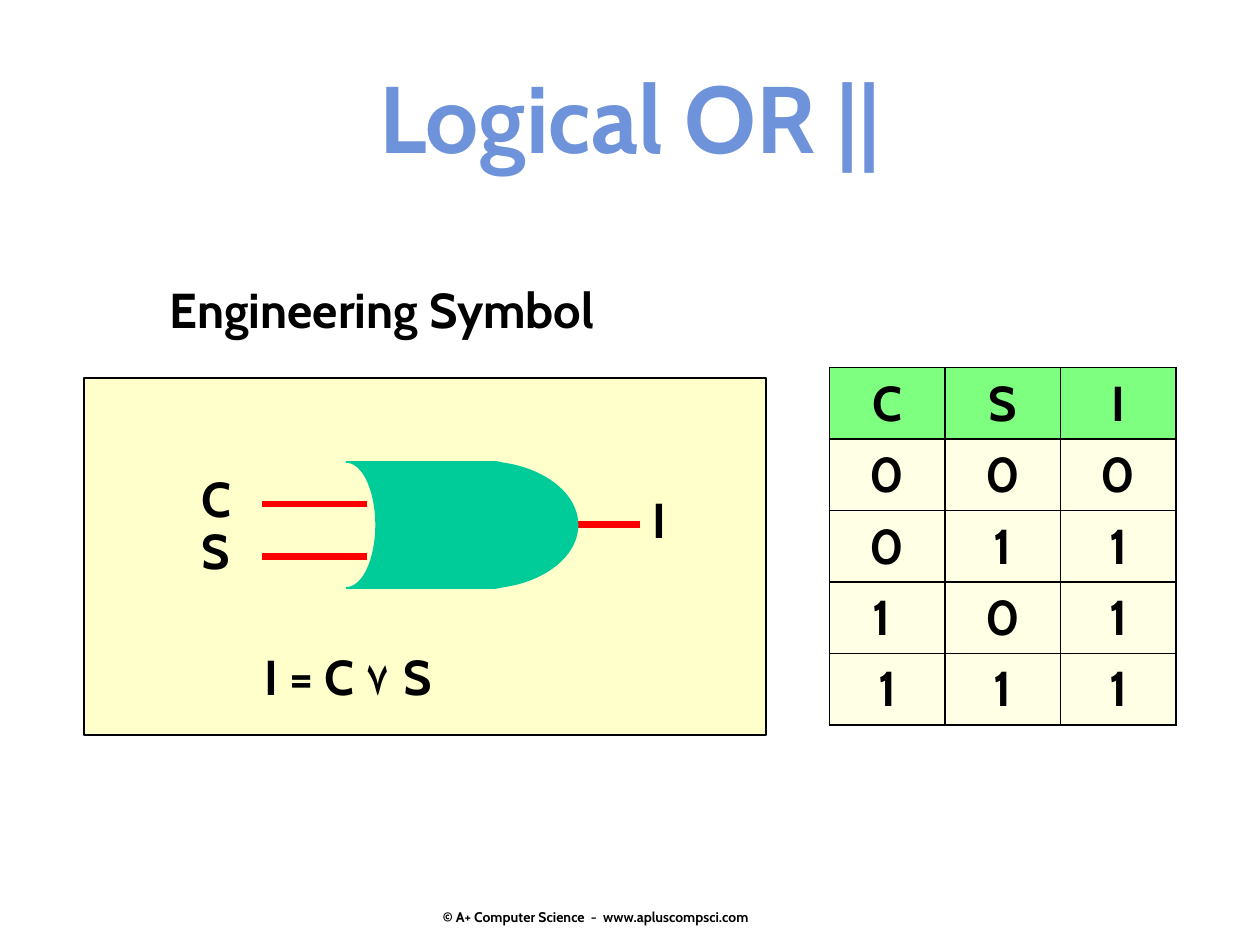
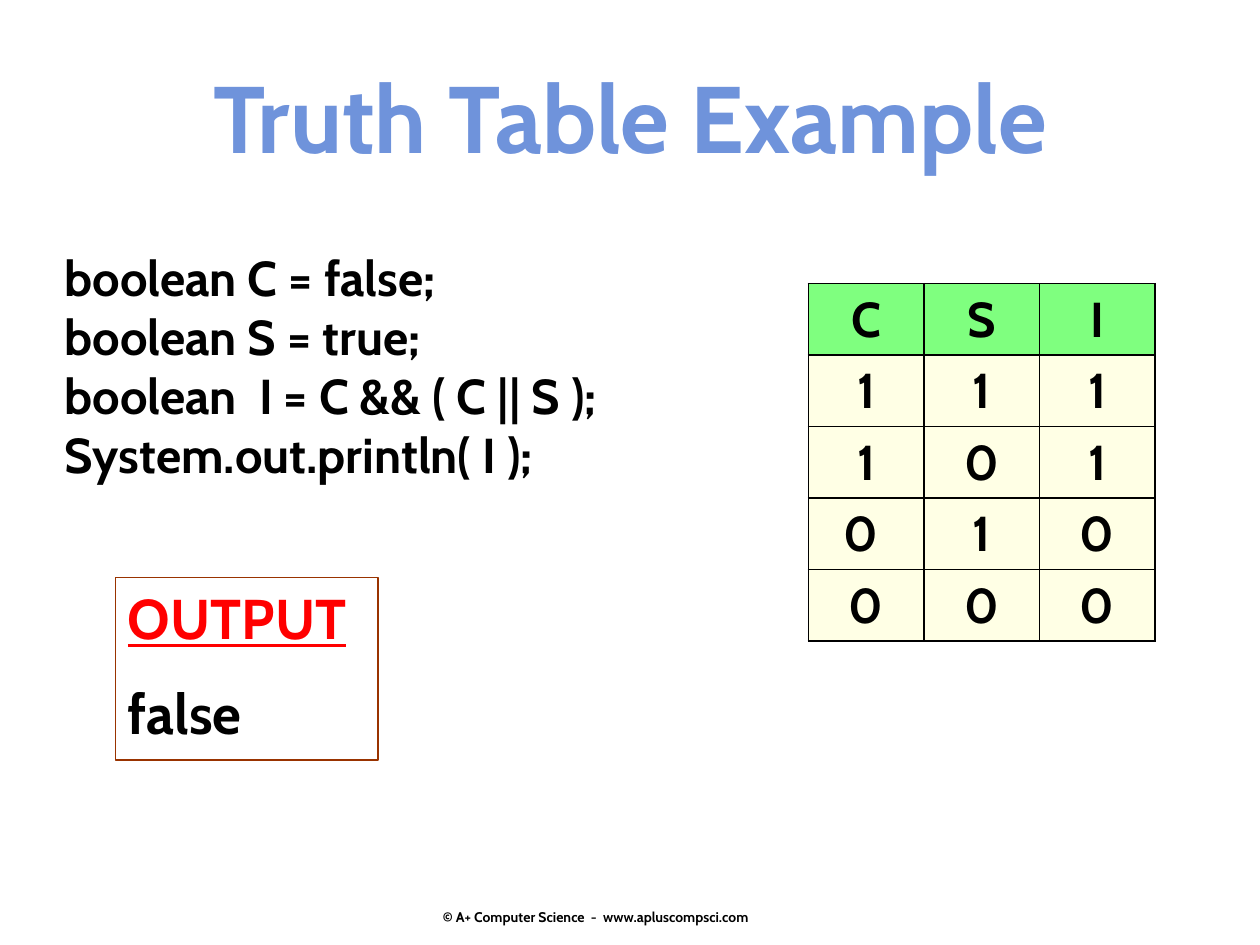
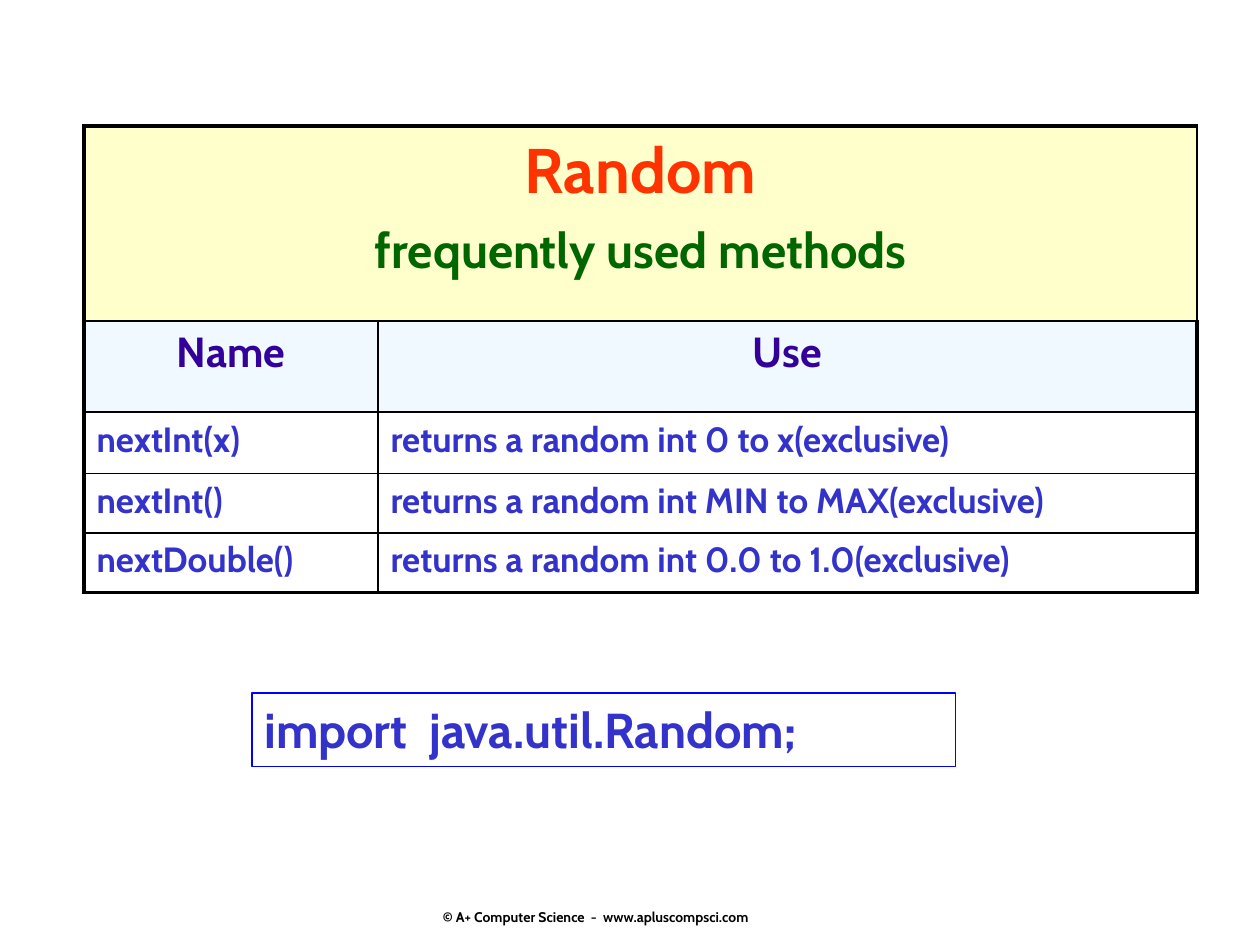
from dataclasses import dataclass

from lxml.etree import SubElement
from pptx import Presentation
from pptx.dml.color import RGBColor
from pptx.enum.shapes import MSO_CONNECTOR, MSO_SHAPE
from pptx.enum.text import MSO_ANCHOR, MSO_AUTO_SIZE, PP_ALIGN
from pptx.oxml.ns import qn
from pptx.util import Pt


@dataclass(frozen=True)
class Theme:
    font: str = "Cabin"
    black: str = "000000"
    title: str = "6F93DB"
    cream: str = "FFFFCC"
    header: str = "00FF00"
    gate: str = "00CC99"
    red: str = "FF0000"
    brown: str = "993300"
    orange: str = "FF3300"
    green: str = "006600"
    pale_blue: str = "E1F4FF"
    purple: str = "330099"
    blue: str = "3333CC"
    frame_blue: str = "0000FF"
    title_size: float = 54
    class_size: float = 36
    output_size: float = 32
    text_size: float = 28
    column_size: float = 24
    method_size: float = 20
    footer_size: float = 8
    thin: float = 1
    thick: float = 2.25
    wire: float = 4


theme = Theme()


def write(frame, lines, align=PP_ALIGN.LEFT, gap=0):
    frame.word_wrap = True
    for index, (text, size, color) in enumerate(lines):
        paragraph = frame.add_paragraph() if index else frame.paragraphs[0]
        paragraph.alignment = align
        if index and gap:
            paragraph.space_before = Pt(gap)
        run = paragraph.add_run()
        run.text = text
        run.font.name = theme.font
        run.font.size = Pt(size)
        run.font.bold = True
        run.font.color.rgb = RGBColor.from_string(color)


def add_grid(slide, left, top, widths, heights, rows, edge):
    last_row, last_column = len(heights) - 1, len(widths) - 1
    table = slide.shapes.add_table(
        len(heights), len(widths), Pt(left), Pt(top), Pt(sum(widths)), Pt(sum(heights))
    ).table
    table.first_row = table.horz_banding = False
    for column, width in zip(table.columns, widths):
        column.width = Pt(width)
    for r, (texts, size, color, align, fill, opacity) in enumerate(rows):
        table.rows[r].height = Pt(heights[r])
        for c in range(len(widths)):
            cell = table.cell(r, c)
            properties = cell._tc.get_or_add_tcPr()
            outer = {"L": c == 0, "R": c == last_column, "T": r == 0, "B": r == last_row}
            for side, on_edge in outer.items():
                width = Pt(edge if on_edge else theme.thin)
                border = SubElement(properties, qn(f"a:ln{side}"), w=str(width))
                SubElement(SubElement(border, qn("a:solidFill")), qn("a:srgbClr"), val=theme.black)
            if fill:
                cell.fill.solid()
                cell.fill.fore_color.rgb = RGBColor.from_string(fill)
                tint = properties.find(qn("a:solidFill")).find(qn("a:srgbClr"))
                SubElement(tint, qn("a:alpha"), val=str(opacity * 1000))
            else:
                cell.fill.background()
            if texts:
                write(cell.text_frame, [(texts[c], size, color)], align)
    return table


prs = Presentation()
prs.slide_width, prs.slide_height = Pt(720), Pt(540)
title_only, blank = prs.slide_layouts[5], prs.slide_layouts[6]

logical_or = prs.slides.add_slide(title_only)
truth_example = prs.slides.add_slide(title_only)
random_methods = prs.slides.add_slide(blank)

for slide, heading in ((logical_or, "Logical OR ||"), (truth_example, "Truth Table Example")):
    title = slide.shapes.title
    title.left, title.top, title.width, title.height = Pt(0), Pt(30), Pt(720), Pt(72.8)
    title.text_frame.auto_size = MSO_AUTO_SIZE.NONE
    title.text_frame.vertical_anchor = MSO_ANCHOR.TOP
    write(title.text_frame, [(heading, theme.title_size, theme.title)], PP_ALIGN.CENTER)

for slide in prs.slides:
    footer = slide.shapes.add_textbox(Pt(246), Pt(492), Pt(228), Pt(37)).text_frame
    footer.vertical_anchor = MSO_ANCHOR.BOTTOM
    footer.margin_bottom = 0
    write(footer, [("© A+ Computer Science  -  www.apluscompsci.com", theme.footer_size, theme.black)])

panel = logical_or.shapes.add_shape(MSO_SHAPE.RECTANGLE, Pt(48), Pt(216), Pt(390), Pt(204))
panel.shadow.inherit = False
panel.fill.solid()
panel.fill.fore_color.rgb = RGBColor.from_string(theme.cream)
panel.line.color.rgb = RGBColor.from_string(theme.black)
panel.line.width = Pt(theme.thin)

for start, end, y in ((210, 150, 288), (210, 150, 318), (312, 366, 300)):
    wire = logical_or.shapes.add_connector(MSO_CONNECTOR.STRAIGHT, Pt(start), Pt(y), Pt(end), Pt(y))
    wire.line.color.rgb = RGBColor.from_string(theme.red)
    wire.line.width = Pt(theme.wire)
    SubElement(wire._element.spPr, qn("a:effectLst"))

for text, left, top, width in (
    ("C", 108, 264, 33),
    ("S", 108, 294, 33),
    ("I", 366, 276, 28),
    ("I = C ۷ S", 144, 366, 138),
    ("Engineering Symbol", 90, 156, 295),
):
    label = logical_or.shapes.add_textbox(Pt(left), Pt(top), Pt(width), Pt(41))
    write(label.text_frame, [(text, theme.text_size, theme.black)])

for outline, left, width in (
    (MSO_SHAPE.FLOWCHART_STORED_DATA, 198, 102),
    (MSO_SHAPE.OVAL, 222, 108),
):
    gate = logical_or.shapes.add_shape(outline, Pt(left), Pt(264), Pt(width), Pt(72))
    gate.shadow.inherit = False
    gate.fill.solid()
    gate.fill.fore_color.rgb = RGBColor.from_string(theme.gate)
    gate.line.color.rgb = RGBColor.from_string(theme.gate)
    gate.line.width = Pt(theme.thin)
    if outline == MSO_SHAPE.FLOWCHART_STORED_DATA:
        gate._element.spPr.xfrm.set("flipH", "1")

for slide, left, top, values in (
    (logical_or, 474, 210, ("000", "011", ("1 ", "0", "1"), "111")),
    (truth_example, 462, 162, ("111", "101", ("0 ", "1", "0"), "000")),
):
    truth_rows = [
        (texts, theme.text_size, theme.black, PP_ALIGN.CENTER, theme.cream if r else theme.header, 50)
        for r, texts in enumerate((("C", "S", "I"), *values))
    ]
    add_grid(slide, left, top, [66] * 3, [40.8] * 5, truth_rows, theme.thin)

code = truth_example.shapes.add_textbox(Pt(30), Pt(138), Pt(606), Pt(176))
code_lines = (
    "boolean C = false;",
    "boolean S = true;",
    "boolean  I = C && ( C || S );",
    "System.out.println( I );",
)
write(code.text_frame, [(line, theme.text_size, theme.black) for line in code_lines])

output = truth_example.shapes.add_textbox(Pt(66), Pt(330), Pt(150), Pt(104.4))
output.line.color.rgb = RGBColor.from_string(theme.brown)
output.line.width = Pt(theme.thin)
write(
    output.text_frame,
    [("OUTPUT", theme.output_size, theme.red), ("false", theme.output_size, theme.black)],
    gap=16,
)
output.text_frame.paragraphs[0].runs[0].font.underline = True

method_rows = [
    ((), theme.class_size, theme.orange, PP_ALIGN.CENTER, theme.cream, 100),
    (("Name", "Use"), theme.column_size, theme.purple, PP_ALIGN.CENTER, theme.pale_blue, 50),
]
for method in (
    ("nextInt(x)", "returns a random int 0 to x(exclusive)"),
    ("nextInt()", "returns a random int MIN to MAX(exclusive)"),
    ("nextDouble()", "returns a random int 0.0 to 1.0(exclusive)"),
):
    method_rows.append((method, theme.method_size, theme.blue, PP_ALIGN.LEFT, None, 100))
methods = add_grid(random_methods, 48, 72, [168, 468], [111.5, 52, 35, 34, 34], method_rows, theme.thick)
banner = methods.cell(0, 0)
banner.merge(methods.cell(0, 1))
write(
    banner.text_frame,
    [
        ("Random", theme.class_size, theme.orange),
        ("frequently used methods", theme.text_size, theme.green),
    ],
    PP_ALIGN.CENTER,
    gap=7,
)

import_line = random_methods.shapes.add_textbox(Pt(144), Pt(396), Pt(402), Pt(42))
import_line.line.color.rgb = RGBColor.from_string(theme.frame_blue)
import_line.line.width = Pt(theme.thin)
write(import_line.text_frame, [("import  java.util.Random;", theme.text_size, theme.blue)])

prs.save("out.pptx")
